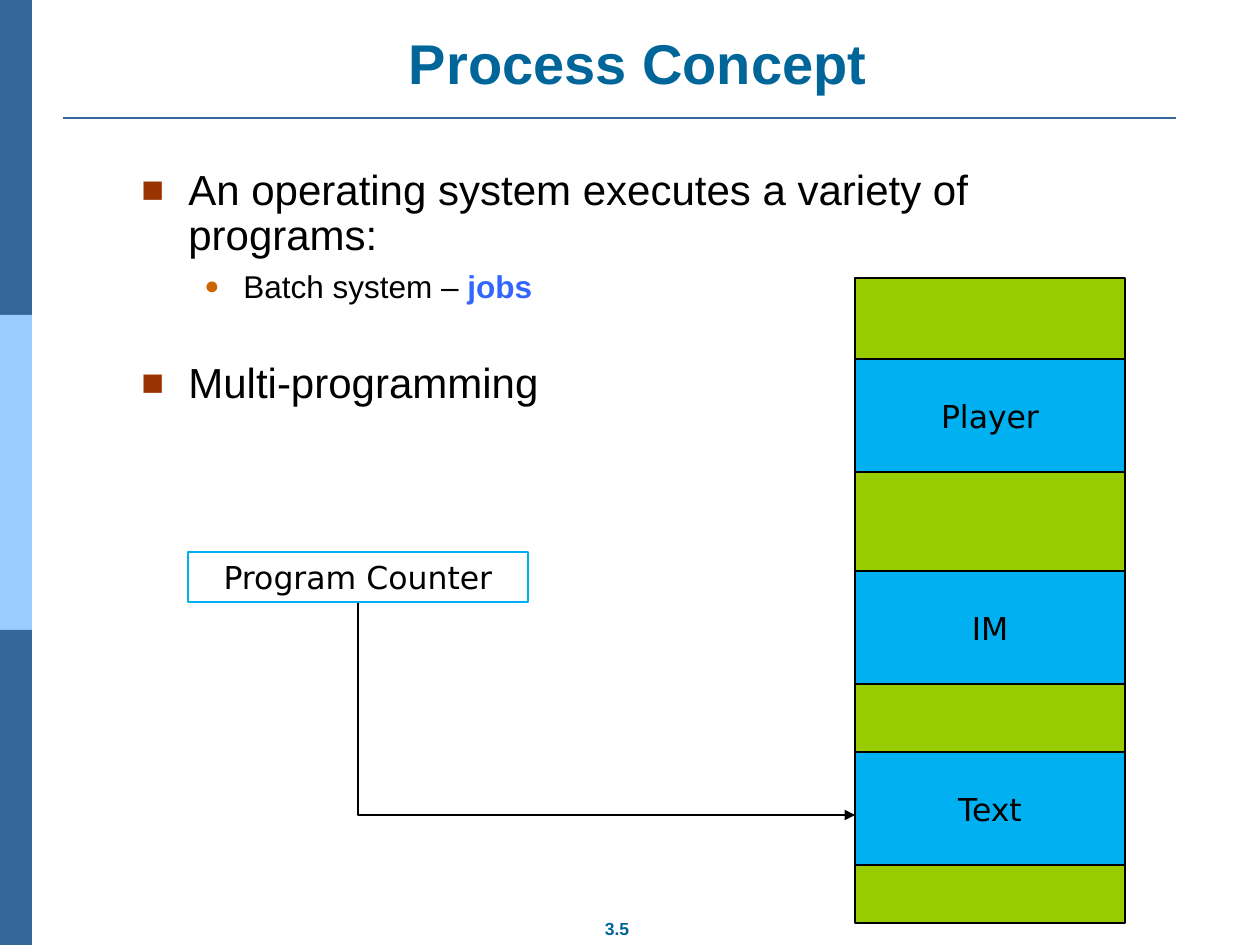
from dataclasses import dataclass
from typing import Optional

from lxml.etree import SubElement
from pptx import Presentation
from pptx.dml.color import RGBColor as RGB
from pptx.enum.shapes import MSO_CONNECTOR as Link, MSO_SHAPE as Kind
from pptx.enum.text import MSO_ANCHOR as Anchor, PP_ALIGN as Align
from pptx.oxml.ns import qn
from pptx.util import Emu, Pt

SCALE = 914400 / 126
COLORS = {
    "navy": "336699", "sky": "99CCFF", "title": "006699", "black": "000000",
    "cyan": "00B0F0", "green": "99CC00", "rust": "993300",
    "orange": "CC6600", "blue": "3366FF",
}


@dataclass
class Box:
    left: int
    top: int
    width: int
    height: int
    fill: Optional[str] = None
    line: Optional[str] = None
    text: str = ""


@dataclass
class Bullet:
    mark: str
    color: str
    percent: int
    margin: int
    hang: int
    size: int


@dataclass
class Point:
    text: str
    bullet: Bullet
    level: int = 0
    before: float = 0
    strong: str = ""


SQUARE = Bullet("■", "rust", 90, 47, 47, 24)
DOT = Bullet("●", "orange", 80, 102, 39, 18)
POINTS = [
    Point("An operating system executes a variety of programs:", SQUARE),
    Point("Batch system – ", DOT, level=1, before=6.3, strong="jobs"),
    Point("Multi-programming", SQUARE, before=33),
]
BARS = [Box(0, 315 * i, 32, 315, fill)
        for i, fill in enumerate(["navy", "sky", "navy"])]
COUNTER = Box(188, 552, 340, 50, line="cyan", text="Program Counter")
MEMORY = Box(855, 278, 270, 645, "green", "black")
JOBS = [Box(MEMORY.left, top, MEMORY.width, 113, "cyan", "black", text)
        for text, top in [("Player", 359), ("IM", 571), ("Text", 752)]]


def px(length: float) -> Emu:
    return Emu(round(length * SCALE))


def rgb(name: str) -> RGB:
    return RGB.from_string(COLORS[name])


def style(font, size: int, color: str, bold: bool = False,
          face: str = "Arial") -> None:
    font.name, font.size, font.bold = face, Pt(size), bold
    font.color.rgb = rgb(color)


def place(shape, left: int, top: int, width: int, height: int) -> None:
    shape.left, shape.top = px(left), px(top)
    shape.width, shape.height = px(width), px(height)


def draw_box(slide, box: Box):
    shape = slide.shapes.add_shape(
        Kind.RECTANGLE, px(box.left), px(box.top), px(box.width), px(box.height))
    shape.shadow.inherit = False
    if box.fill:
        shape.fill.solid()
        shape.fill.fore_color.rgb = rgb(box.fill)
    else:
        shape.fill.background()
    if box.line:
        shape.line.color.rgb = rgb(box.line)
        shape.line.width = Pt(0.75)
    else:
        shape.line.fill.background()
    if box.text:
        frame = shape.text_frame
        frame.text = box.text
        frame.vertical_anchor = Anchor.MIDDLE
        para = frame.paragraphs[0]
        para.alignment = Align.CENTER
        style(para.runs[0].font, 18, "black", face="DejaVu Sans")
    return shape


def draw_line(slide, kind, start: tuple, end: tuple, color: str, width: float):
    line = slide.shapes.add_connector(kind, *map(px, start + end))
    line.line.color.rgb = rgb(color)
    line.line.width = Pt(width)
    SubElement(line._element.spPr, qn("a:effectLst"))
    return line


def draw_arrow(slide, start: tuple, end: tuple) -> None:
    """Draw an arrow that goes down, then right: a turned two-part elbow."""
    mid_x, mid_y = (start[0] + end[0]) / 2, (start[1] + end[1]) / 2
    half_w, half_h = (end[1] - start[1]) / 2, (end[0] - start[0]) / 2
    line = draw_line(slide, Link.ELBOW, (mid_x + half_w, mid_y - half_h),
                     (mid_x - half_w, mid_y + half_h), "black", 0.75)
    props = line._element.spPr
    props.find(qn("a:xfrm")).set("rot", str(270 * 60000))
    props.find(qn("a:prstGeom")).set("prst", "bentConnector2")
    SubElement(props.find(qn("a:ln")), qn("a:tailEnd"), type="triangle")


def add_bullet(para, bullet: Bullet) -> None:
    props = para._p.get_or_add_pPr()
    props.set("marL", str(px(bullet.margin)))
    props.set("indent", str(px(-bullet.hang)))
    color = SubElement(props, qn("a:buClr"))
    SubElement(color, qn("a:srgbClr"), val=COLORS[bullet.color])
    SubElement(props, qn("a:buSzPct"), val=str(bullet.percent * 1000))
    SubElement(props, qn("a:buFont"), typeface="Arial")
    SubElement(props, qn("a:buChar"), char=bullet.mark)


def write_points(slide) -> None:
    frame = slide.shapes.add_textbox(
        px(129), px(163), px(1016), px(311)).text_frame
    frame.word_wrap = True
    for i, point in enumerate(POINTS):
        para = frame.add_paragraph() if i else frame.paragraphs[0]
        para.text = point.text
        para.level = point.level
        para.line_spacing = 0.9
        para.space_before = Pt(point.before)
        add_bullet(para, point.bullet)
        style(para.runs[0].font, point.bullet.size, "black")
        if point.strong:
            run = para.add_run()
            run.text = point.strong
            style(run.font, point.bullet.size, "blue", bold=True)


def write_title(slide) -> None:
    title = slide.shapes.title
    place(title, 217, 23, 842, 79)
    title.text_frame.text = "Process Concept"
    title.text_frame.vertical_anchor = Anchor.BOTTOM
    para = title.text_frame.paragraphs[0]
    para.alignment = Align.CENTER
    style(para.runs[0].font, 32, "title", bold=True)


def write_number(slide) -> None:
    frame = slide.shapes.add_textbox(px(586), px(911), px(62), px(34)).text_frame
    frame.text = "3.5"
    frame.vertical_anchor = Anchor.MIDDLE
    para = frame.paragraphs[0]
    para.alignment = Align.CENTER
    style(para.runs[0].font, 10, "title", bold=True)


def main() -> None:
    deck = Presentation()
    deck.slide_width, deck.slide_height = px(1260), px(945)
    slide = deck.slides.add_slide(deck.slide_layouts[5])
    for bar in BARS:
        draw_box(slide, bar)
    draw_line(slide, Link.STRAIGHT, (63, 118), (1176, 118), "navy", 1.5)
    write_number(slide)
    write_title(slide)
    write_points(slide)
    draw_arrow(slide, (COUNTER.left + COUNTER.width // 2,
                       COUNTER.top + COUNTER.height), (MEMORY.left, 815))
    for box in [COUNTER, MEMORY, *JOBS]:
        draw_box(slide, box)
    deck.save("out.pptx")


if __name__ == "__main__":
    main()
